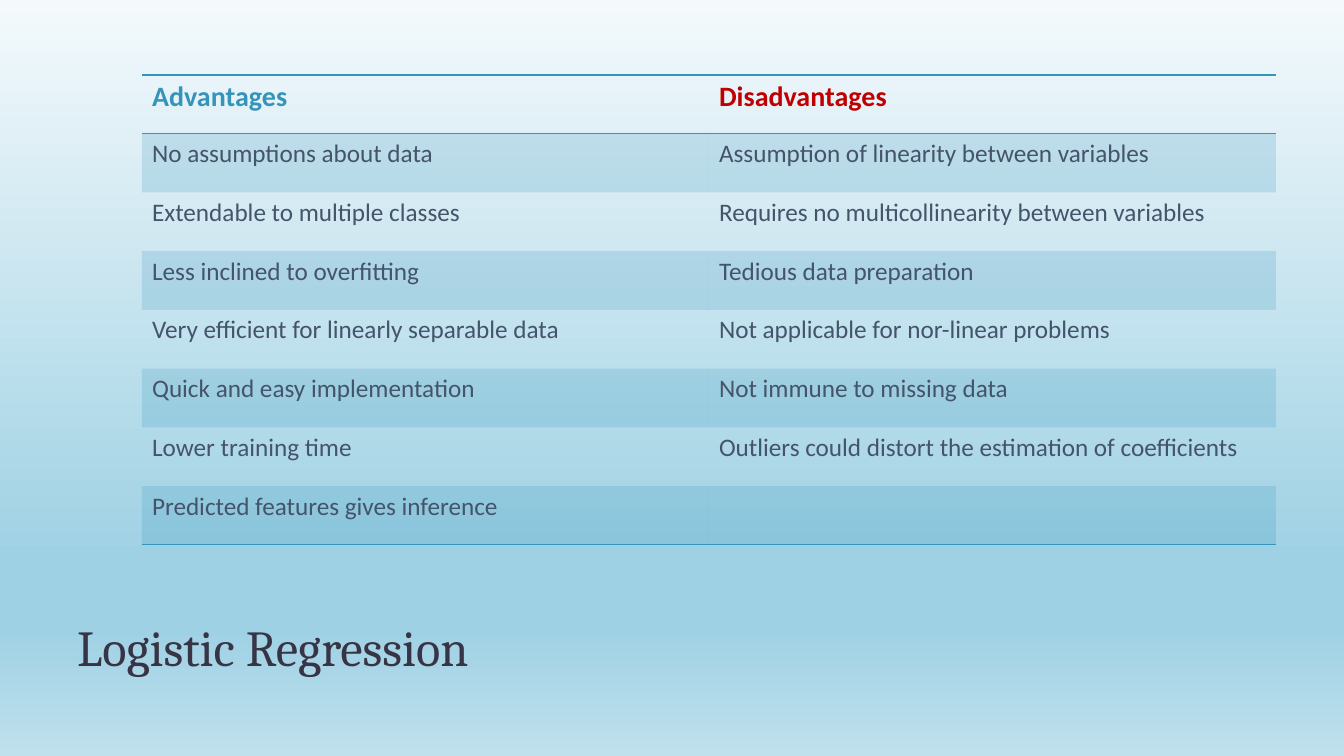
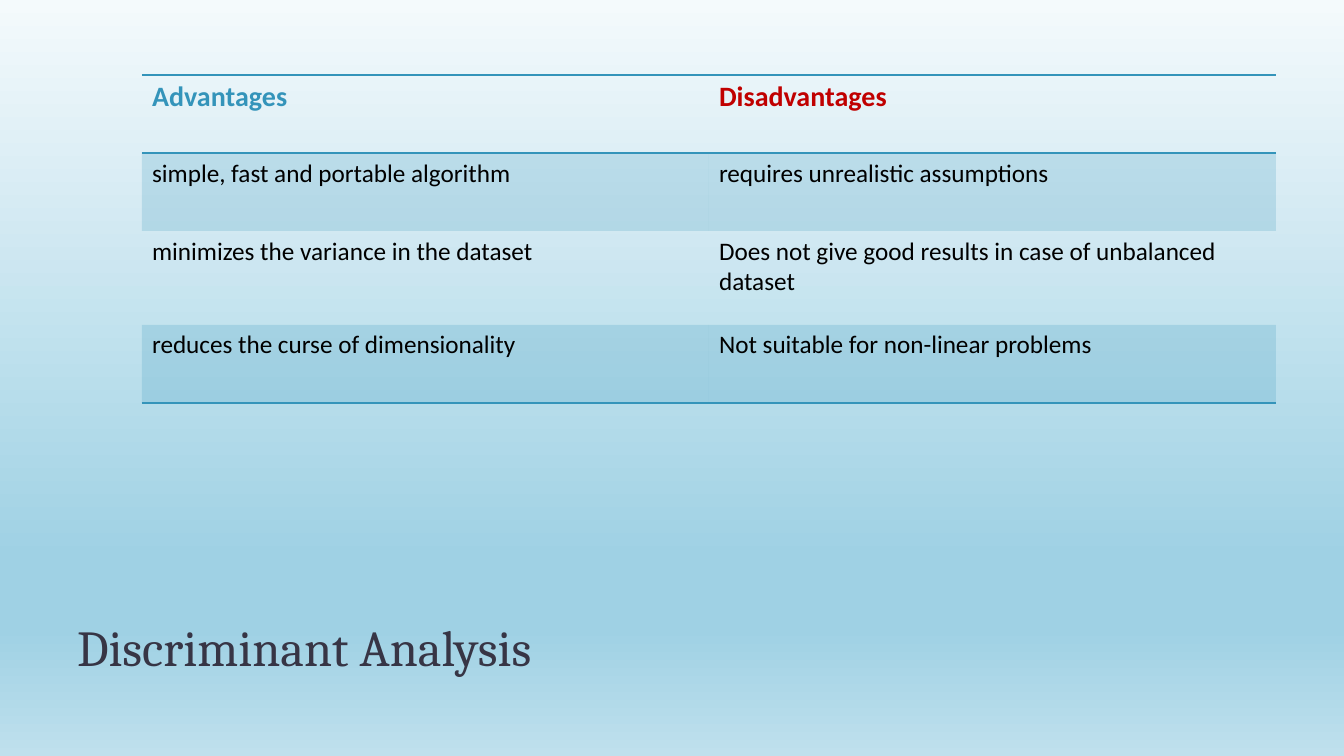
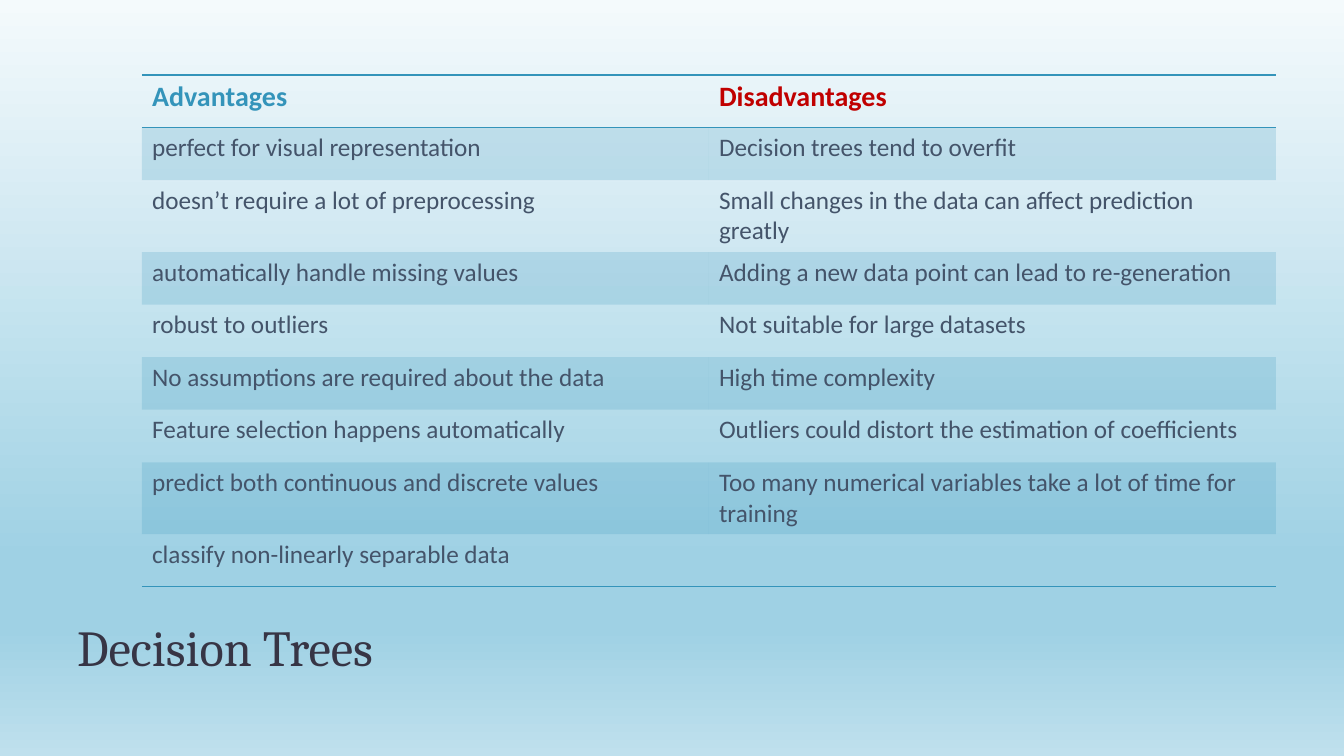
from dataclasses import dataclass
from itertools import zip_longest

from lxml import etree
from pptx import Presentation
from pptx.dml.color import RGBColor
from pptx.enum.text import MSO_ANCHOR, MSO_AUTO_SIZE, PP_ALIGN
from pptx.oxml.ns import qn
from pptx.util import Emu, Pt

BOTTOM = MSO_ANCHOR.BOTTOM
NO_FIT = MSO_AUTO_SIZE.NONE
LEFT = PP_ALIGN.LEFT

SLIDE_W, SLIDE_H = 1344, 756
EMU_PER_PX = 12192000 / SLIDE_W
TITLE_ONLY = 5
PLAIN_TABLE_STYLE = "{2D5ABB26-0587-4C30-8999-92F81FD0307C}"

TITLE_BOX = (67, 563, 1210, 118)
TABLE_LEFT, TABLE_TOP, TABLE_W = 142, 75, 1134


@dataclass(frozen=True)
class Theme:
    title_font: str = "Cambria"
    body_font: str = "Calibri"
    title_size: int = 36
    header_size: int = 20
    body_size: int = 18
    title: str = "373545"
    accent: str = "3494BA"
    warning: str = "C00000"
    slate: str = "44546A"
    black: str = "000000"
    band_opacity: int = 20
    rule_width: int = 1
    background: tuple = ((0, "F4FAFC"), (74, "9FD1E4"),
                         (83, "9FD1E4"), (100, "BFE0ED"))


THEME = Theme()
HEADERS = (("Advantages", THEME.accent), ("Disadvantages", THEME.warning))

# Each slide: title, text colour, table height, taller rows, two columns
SLIDES = [
    ("Logistic Regression", THEME.slate, 470, {}, (
        ["No assumptions about data",
         "Extendable to multiple classes",
         "Less inclined to overfitting",
         "Very efficient for linearly separable data",
         "Quick and easy implementation",
         "Lower training time",
         "Predicted features gives inference"],
        ["Assumption of linearity between variables",
         "Requires no multicollinearity between variables",
         "Tedious data preparation",
         "Not applicable for nor-linear problems",
         "Not immune to missing data",
         "Outliers could distort the estimation of coefficients"])),
    ("Discriminant Analysis", THEME.black, 328, {2: 94}, (
        ["simple, fast and portable algorithm",
         "minimizes the variance in the dataset",
         "reduces the curse of dimensionality"],
        ["requires unrealistic assumptions",
         "Does not give good results in case of unbalanced dataset",
         "Not suitable for non-linear problems"])),
    ("Decision Trees", THEME.slate, 512, {2: 72, 7: 72}, (
        ["perfect for visual representation",
         "doesn’t require a lot of preprocessing",
         "automatically handle missing values",
         "robust to outliers",
         "No assumptions are required about the data",
         "Feature selection happens automatically",
         "predict both continuous and discrete values",
         "classify non-linearly separable data"],
        ["Decision trees tend to overfit",
         "Small changes in the data can affect prediction greatly",
         "Adding a new data point can lead to re-generation",
         "Not suitable for large datasets",
         "High time complexity",
         "Outliers could distort the estimation of coefficients",
         "Too many numerical variables take a lot of time for training"])),
]


def px(n):
    return Emu(round(n * EMU_PER_PX))


def sub(parent, tag, **attrs):
    return etree.SubElement(parent, qn(tag), attrs)


def format_runs(p, font, size, color, bold=False):
    for r in p.runs:
        r.font.name = font
        r.font.size = Pt(size)
        r.font.bold = bold
        r.font.color.rgb = RGBColor.from_string(color)


def set_background(master):
    fill = master.background.fill
    fill.gradient()
    fill.gradient_angle = 270
    stops = next(master.element.iter(qn("a:gsLst")))
    for stop in list(stops):
        stops.remove(stop)
    for percent, color in THEME.background:
        stop = sub(stops, "a:gs", pos=str(percent * 1000))
        sub(stop, "a:srgbClr", val=color)


def place_title(slide, text, box):
    sp = slide.shapes.title
    sp.left, sp.top, sp.width, sp.height = map(px, box)
    tf = sp.text_frame
    tf.text = text
    tf.word_wrap = True
    tf.auto_size = NO_FIT
    tf.vertical_anchor = BOTTOM
    p = tf.paragraphs[0]
    p.alignment = LEFT
    p.line_spacing = 0.8
    format_runs(p, THEME.title_font, THEME.title_size, THEME.title)


def add_rule(cell, tag):
    """Draw one cell border; borders must come before the cell's fill."""
    ln = sub(cell._tc.get_or_add_tcPr(), tag, w=str(Pt(THEME.rule_width)))
    sub(sub(ln, "a:solidFill"), "a:srgbClr", val=THEME.accent)


def fill_cell(cell, banded):
    if not banded:
        cell.fill.background()
        return
    cell.fill.solid()
    cell.fill.fore_color.rgb = RGBColor.from_string(THEME.accent)
    color = cell._tc.tcPr.find(qn("a:solidFill")).find(qn("a:srgbClr"))
    sub(color, "a:alpha", val=str(THEME.band_opacity * 1000))


def add_comparison(slide, columns, text_color, tall_rows, box):
    """Table of pros and cons; rows not in tall_rows share the height left."""
    rows = [[text for text, _ in HEADERS], *zip_longest(*columns, fillvalue="")]
    height = box[3]
    row_h = (height - sum(tall_rows.values())) / (len(rows) - len(tall_rows))
    frame = slide.shapes.add_table(len(rows), len(HEADERS), *map(px, box))
    table = frame.table
    table.first_row = table.horz_banding = False
    table._tbl.tblPr.find(qn("a:tableStyleId")).text = PLAIN_TABLE_STYLE

    for i, texts in enumerate(rows):
        table.rows[i].height = px(tall_rows.get(i, row_h))
        header, last = i == 0, i == len(rows) - 1
        for j, text in enumerate(texts):
            cell = table.cell(i, j)
            cell.text = text
            if header:
                add_rule(cell, "a:lnT")
            if header or last:
                add_rule(cell, "a:lnB")
            fill_cell(cell, banded=i % 2 == 1)
            size = THEME.header_size if header else THEME.body_size
            color = HEADERS[j][1] if header else text_color
            format_runs(cell.text_frame.paragraphs[0], THEME.body_font,
                        size, color, bold=header)


def main():
    prs = Presentation()
    prs.slide_width, prs.slide_height = px(SLIDE_W), px(SLIDE_H)
    set_background(prs.slide_master)
    for title, color, height, tall_rows, columns in SLIDES:
        slide = prs.slides.add_slide(prs.slide_layouts[TITLE_ONLY])
        place_title(slide, title, TITLE_BOX)
        add_comparison(slide, columns, color, tall_rows,
                       (TABLE_LEFT, TABLE_TOP, TABLE_W, height))
    prs.save("out.pptx")


if __name__ == "__main__":
    main()
